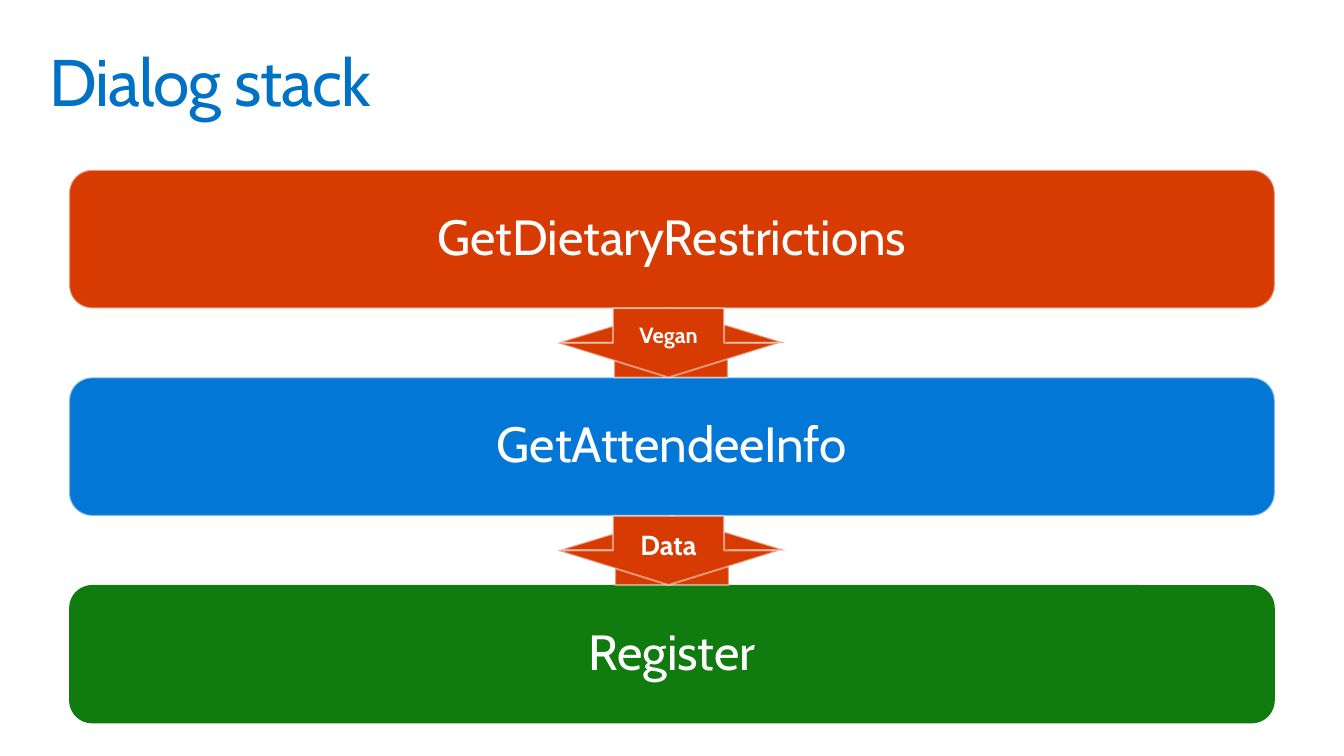
from lxml import etree
from pptx import Presentation
from pptx.dml.color import RGBColor
from pptx.enum.shapes import MSO_SHAPE
from pptx.enum.text import MSO_ANCHOR, PP_ALIGN
from pptx.oxml.ns import qn
from pptx.util import Pt

ROUND_RECT = MSO_SHAPE.ROUNDED_RECTANGLE
UP, DOWN = MSO_SHAPE.UP_ARROW, MSO_SHAPE.DOWN_ARROW
TOP, MIDDLE = MSO_ANCHOR.TOP, MSO_ANCHOR.MIDDLE
LEFT, CENTER = PP_ALIGN.LEFT, PP_ALIGN.CENTER

COLORS = {
    "title": "0072C6",
    "orange": "D83B01",
    "blue": "0377D6",
    "green": "107C10",
    "white": "FFFFFF",
    "outline": "F9F9F9",
}
FONT = "Cabin"

TITLE = "Dialog stack"
# Dialogs from the top of the stack down: name, colour, outlined
DIALOGS = [
    ("GetDietaryRestrictions", "orange", True),
    ("GetAttendeeInfo", "blue", True),
    ("Register", "green", False),
]
# Results handed down: text, size, left of the up arrow
RESULTS = [("Vegan", 16, 564), ("Data", 20, 565)]

PX = 9144  # 100 px to the inch
SLIDE_W, SLIDE_H = 1360, 765
BOX_X, BOX_Y, BOX_W, BOX_H = 70, 172, 1220, 140
GAP = 70
ARROW_X, UP_W, DOWN_W = 564, 230, 225


def px(*lengths):
    return [n * PX for n in lengths]


def write(sp, text, size, color="white", bold=False, align=CENTER,
          anchor=MIDDLE, insets=(20, 16), spacing=None):
    tf = sp.text_frame
    tf.word_wrap = True
    tf.vertical_anchor = anchor
    tf.margin_left = tf.margin_right = insets[0] * PX
    tf.margin_top = tf.margin_bottom = insets[1] * PX
    p = tf.paragraphs[0]
    p.alignment = align
    p.line_spacing = 0.9
    r = p.add_run()
    r.text = text
    r.font.name = FONT
    r.font.size = Pt(size)
    r.font.bold = bold
    r.font.color.rgb = RGBColor.from_string(COLORS[color])
    if spacing is not None:
        r.font._element.set("spc", str(spacing))


def add_block(slide, kind, box, color, outlined=True):
    sp = slide.shapes.add_shape(kind, *px(*box))
    sp.shadow.inherit = False
    sp.fill.solid()
    sp.fill.fore_color.rgb = RGBColor.from_string(COLORS[color])
    if outlined:
        sp.line.width = Pt(1.35)
        sp.line.color.rgb = RGBColor.from_string(COLORS["outline"])
        rgb = sp.line._ln.find(".//" + qn("a:srgbClr"))
        etree.SubElement(rgb, qn("a:alpha")).set("val", "50000")
    else:
        sp.line.fill.background()
    return sp


def main():
    prs = Presentation()
    prs.slide_width, prs.slide_height = px(SLIDE_W, SLIDE_H)
    slide = prs.slides.add_slide(prs.slide_layouts[6])

    title = slide.shapes.add_textbox(*px(40, 40, 1280, 100))
    write(title, TITLE, 48, "title", align=LEFT, anchor=TOP,
          insets=(10, 10), spacing=-70)

    for i, (name, color, outlined) in enumerate(DIALOGS):
        y = BOX_Y + i * (BOX_H + GAP)
        sp = add_block(slide, ROUND_RECT, (BOX_X, y, BOX_W, BOX_H), color, outlined)
        write(sp, name, 36)

    for i, (result, size, up_x) in enumerate(RESULTS):
        y = BOX_Y + BOX_H + i * (BOX_H + GAP)
        add_block(slide, UP, (up_x, y, UP_W, GAP), "orange")
        sp = add_block(slide, DOWN, (ARROW_X, y, DOWN_W, GAP), "orange")
        write(sp, result, size, bold=True, anchor=TOP)

    prs.save("out.pptx")


if __name__ == "__main__":
    main()
